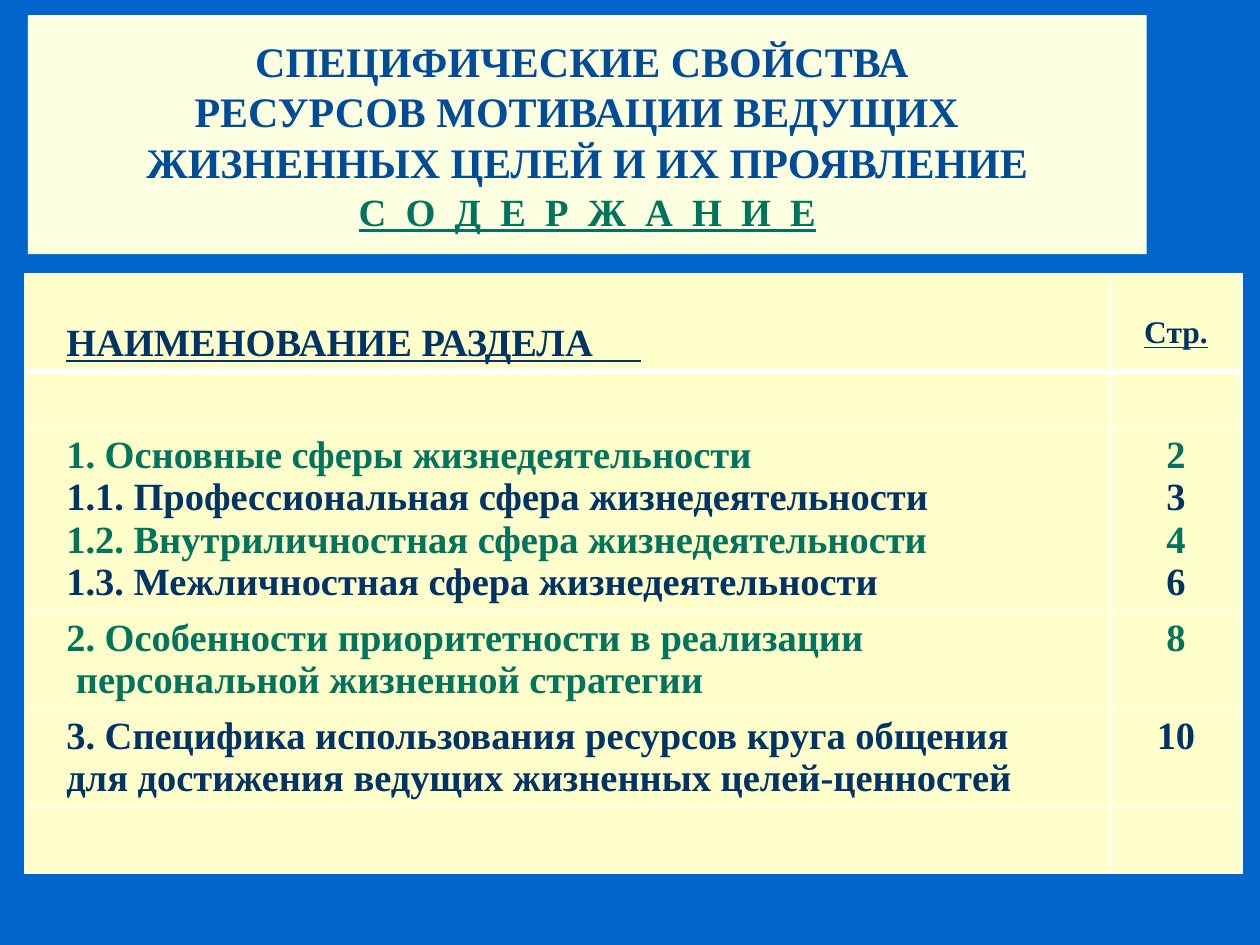
from lxml.etree import SubElement
from pptx import Presentation
from pptx.dml.color import RGBColor
from pptx.enum.shapes import MSO_SHAPE
from pptx.enum.text import MSO_ANCHOR, PP_ALIGN
from pptx.oxml.ns import qn
from pptx.util import Pt

BLUE = RGBColor(0x00, 0x66, 0xCC)
TITLE_BLUE = RGBColor(0x00, 0x4C, 0x99)
NAVY = RGBColor(0x00, 0x33, 0x66)
GREEN = RGBColor(0x00, 0x74, 0x5C)
IVORY = RGBColor(0xFD, 0xFF, 0xE1)
CREAM = RGBColor(0xFF, 0xFF, 0xCC)
WHITE = RGBColor(0xFF, 0xFF, 0xFF)
FONT = "Times New Roman"

# Title lines: text, size, line height, colour, underline
TITLE = [
    ("СПЕЦИФИЧЕСКИЕ СВОЙСТВА ", 24, 28.8, TITLE_BLUE, False),
    ("РЕСУРСОВ МОТИВАЦИИ ВЕДУЩИХ  ", 24, 28.8, TITLE_BLUE, False),
    ("ЖИЗНЕННЫХ ЦЕЛЕЙ И ИХ ПРОЯВЛЕНИЕ", 24, 28.8, TITLE_BLUE, False),
    ("С  О  Д  Е  Р  Ж  А  Н  И  Е", 22, 27, GREEN, True),
]

# Table rows: height, then lines of (section, page, colour)
HEADER = ("НАИМЕНОВАНИЕ РАЗДЕЛА     ", "Стр.", NAVY)
ROWS = [
    (56, [HEADER]),
    (32, []),
    (104.5, [
        ("1. Основные сферы жизнедеятельности", "2", GREEN),
        ("1.1. Профессиональная сфера жизнедеятельности", "3", NAVY),
        ("1.2. Внутриличностная сфера жизнедеятельности", "4", GREEN),
        ("1.3. Межличностная сфера жизнедеятельности", "6", NAVY),
    ]),
    (56, [
        ("2. Особенности приоритетности в реализации", "8", GREEN),
        (" персональной жизненной стратегии", None, GREEN),
    ]),
    (56, [
        ("3. Специфика использования ресурсов круга общения", "10", NAVY),
        ("для достижения ведущих жизненных целей-ценностей", None, NAVY),
    ]),
    (38, []),
]
COL_WIDTHS = [620, 75.6]


def add_line(tf, first, text, size, color, underline, align):
    p = tf.paragraphs[0] if first else tf.add_paragraph()
    p.text = text
    p.alignment = align
    f = p.font
    f.name, f.size, f.bold, f.underline = FONT, Pt(size), True, underline
    f.color.rgb = color
    return p


def set_borders(cell, bottom):
    """Draw white cell borders; they must precede the fill in tcPr."""
    tc_pr = cell._tc.get_or_add_tcPr()
    for i, (side, width) in enumerate(
            [("lnL", 1), ("lnR", 1), ("lnT", 1), ("lnB", bottom)]):
        ln = SubElement(tc_pr, qn("a:" + side), w=str(Pt(width)))
        fill = SubElement(ln, qn("a:solidFill"))
        SubElement(fill, qn("a:srgbClr"), val=str(WHITE))
        tc_pr.insert(i, ln)


prs = Presentation()
prs.slide_width, prs.slide_height = Pt(720), Pt(540)
s = prs.slides.add_slide(prs.slide_layouts[6])
s.background.fill.solid()
s.background.fill.fore_color.rgb = BLUE

# Title panel
sp = s.shapes.add_shape(MSO_SHAPE.RECTANGLE, Pt(16), Pt(8.6), Pt(639.2), Pt(136.6))
sp.shadow.inherit = False
sp.fill.solid()
sp.fill.fore_color.rgb = IVORY
sp.line.fill.background()
tf = sp.text_frame
tf.word_wrap = True
tf.vertical_anchor = MSO_ANCHOR.MIDDLE
for i, (text, size, spacing, color, underline) in enumerate(TITLE):
    p = add_line(tf, i == 0, text, size, color, underline, PP_ALIGN.CENTER)
    p.line_spacing = Pt(spacing)

# Contents table
table = s.shapes.add_table(
    len(ROWS), len(COL_WIDTHS), Pt(14.2), Pt(156.4),
    Pt(sum(COL_WIDTHS)), Pt(sum(height for height, _ in ROWS))).table
table.horz_banding = False
for col, width in zip(table.columns, COL_WIDTHS):
    col.width = Pt(width)

for r, (height, lines) in enumerate(ROWS):
    table.rows[r].height = Pt(height)
    header = r == 0
    for c in range(len(COL_WIDTHS)):
        cell = table.cell(r, c)
        cell.fill.solid()
        cell.fill.fore_color.rgb = CREAM
        set_borders(cell, 3 if header else 1)
        if c == 0:
            cell.margin_left = Pt(23.7)
        if header:
            cell.vertical_anchor = MSO_ANCHOR.BOTTOM
            cell.margin_bottom = Pt(12 if c else 3.6)
        size = 18 if header and c else 22
        align = PP_ALIGN.CENTER if c else PP_ALIGN.LEFT
        shown = [(line[c], line[2]) for line in lines if line[c]]
        for i, (text, color) in enumerate(shown):
            add_line(cell.text_frame, i == 0, text, size, color, header, align)

prs.save("out.pptx")
